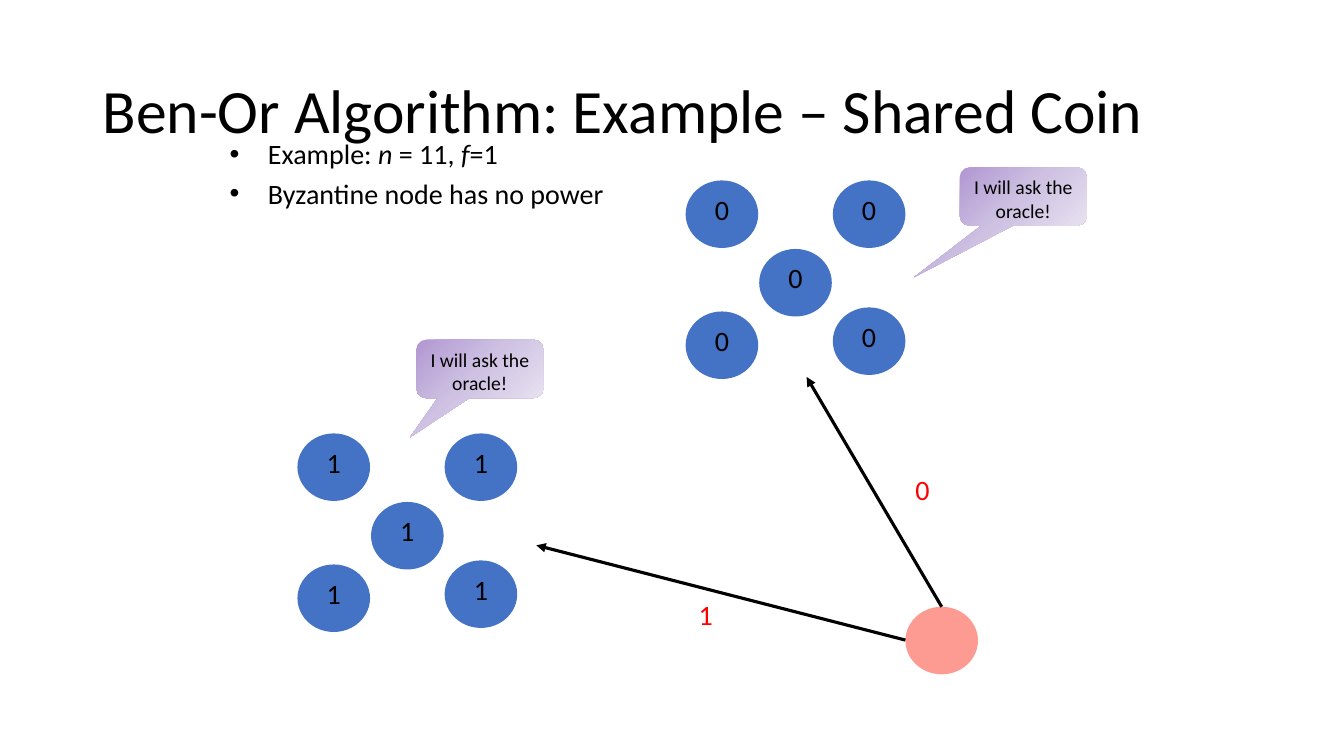
from dataclasses import dataclass

from lxml.etree import SubElement
from pptx import Presentation
from pptx.dml.color import RGBColor
from pptx.enum.shapes import MSO_CONNECTOR as Line, MSO_SHAPE as Shape
from pptx.enum.text import MSO_ANCHOR as Anchor, PP_ALIGN as Align
from pptx.oxml.ns import qn
from pptx.util import Emu, Pt

PX = 9144


def px(*lengths):
    return [Emu(length * PX) for length in lengths]


@dataclass(frozen=True)
class Theme:
    font: str = "Calibri"
    ink: str = "000000"
    message: str = "FF0000"
    honest: str = "4472C4"
    byzantine: str = "FD9B93"
    speech: tuple = ((0, "B197D2"), (50, "CEC1E2"), (100, "E7E1F0"))
    title: int = 44
    body: int = 20
    small: int = 14
    stroke: float = 2.25


class Page:
    def __init__(self, deck, theme):
        self.theme = theme
        self.shapes = deck.slides.add_slide(deck.slide_layouts[6]).shapes

    def style(self, target, **values):
        for name, value in values.items():
            setattr(target, name, value)

    def span(self, para, text, size, color=None, italic=False):
        span = para.add_run()
        span.text = text
        self.style(span.font, name=self.theme.font, size=Pt(size), italic=italic)
        span.font.color.rgb = RGBColor.from_string(color or self.theme.ink)

    def text(self, at, text, size, color=None, anchor=Anchor.TOP, spacing=None):
        frame = self.shapes.add_textbox(*px(*at)).text_frame
        self.style(frame, word_wrap=True, vertical_anchor=anchor)
        para = frame.paragraphs[0]
        para.line_spacing = spacing
        self.span(para, text, size, color)

    def bullets(self, at, items):
        frame = self.shapes.add_textbox(*px(*at)).text_frame
        frame.word_wrap = True
        indent = px(38)[0]
        for index, spans in enumerate(items):
            para = frame.add_paragraph() if index else frame.paragraphs[0]
            layout = para._p.get_or_add_pPr()
            layout.set("marL", str(indent))
            layout.set("indent", str(-indent))
            SubElement(layout, qn("a:buFont"), typeface="Arial")
            SubElement(layout, qn("a:buChar"), char="•")
            para.space_before = Pt(4 if index else 0)
            for text, italic in spans:
                self.span(para, text, self.theme.body, italic=italic)

    def shape(self, kind, at):
        shape = self.shapes.add_shape(kind, *px(*at))
        shape.shadow.inherit = False
        shape.line.fill.background()
        return shape

    def node(self, left, top, color, label=None):
        node = self.shape(Shape.OVAL, (left, top, 72, 67))
        node.fill.solid()
        node.fill.fore_color.rgb = RGBColor.from_string(color)
        if label:
            frame = node.text_frame
            self.style(frame, margin_top=0, margin_bottom=px(10)[0],
                       vertical_anchor=Anchor.MIDDLE)
            frame.paragraphs[0].alignment = Align.CENTER
            self.span(frame.paragraphs[0], label, self.theme.body)
        return node

    def cluster(self, left, top, label):
        for across, down in ((0, 0), (146, 0), (73, 68), (0, 130), (146, 126)):
            self.node(left + across, top + down, self.theme.honest, label)

    def callout(self, left, top, pointer, text):
        bubble = self.shape(Shape.ROUNDED_RECTANGULAR_CALLOUT, (left, top, 126, 58))
        for index, value in enumerate(pointer):
            bubble.adjustments[index] = value
        bubble.fill.gradient()
        bubble.fill.gradient_angle = 315
        stops = bubble._element.spPr.find(".//" + qn("a:gsLst"))
        for stop in list(stops):
            stops.remove(stop)
        for percent, color in self.theme.speech:
            stop = SubElement(stops, qn("a:gs"), pos=str(percent * 1000))
            SubElement(stop, qn("a:srgbClr"), val=color)
        frame = bubble.text_frame
        self.style(frame, word_wrap=True, vertical_anchor=Anchor.TOP)
        frame.paragraphs[0].alignment = Align.CENTER
        self.span(frame.paragraphs[0], text, self.theme.small)

    def arrow(self, node, site, start, end):
        arrow = self.shapes.add_connector(Line.STRAIGHT, *px(*start, *end))
        arrow.begin_connect(node, site)
        arrow.begin_x, arrow.begin_y = px(*start)
        arrow.line.width = Pt(self.theme.stroke)
        arrow.line.color.rgb = RGBColor.from_string(self.theme.ink)
        properties = arrow._element.spPr
        SubElement(properties.find(qn("a:ln")), qn("a:tailEnd"), type="triangle")
        SubElement(properties, qn("a:effectLst"))


def main():
    deck = Presentation()
    deck.slide_width, deck.slide_height = px(1333, 750)
    theme = Theme()
    page = Page(deck, theme)

    page.bullets((218, 131, 914, 564), (
        (("Example: ", False), ("n", True), (" = 11, ", False), ("f", True), ("=1", False)),
        (("Byzantine node has no power", False),),
    ))
    page.text((92, 40, 1150, 145), "Ben-Or Algorithm: Example – Shared Coin",
              theme.title, anchor=Anchor.MIDDLE, spacing=0.9)

    page.cluster(295, 430, "1")
    page.cluster(680, 179, "0")

    byzantine = page.node(898, 602, theme.byzantine)
    page.arrow(byzantine, 2, (898, 635), (532, 541))
    page.arrow(byzantine, 0, (934, 602), (800, 374))
    page.text((683, 588, 31, 44), "1", theme.body, theme.message)
    page.text((898, 464, 31, 44), "0", theme.body, theme.message)

    page.callout(952, 166, (-0.86, 1.38, 0.17), "I will ask the oracle!")
    page.callout(413, 337, (-0.55, 1.17, 0.17), "I will ask the oracle!")

    deck.save("out.pptx")


if __name__ == "__main__":
    main()
